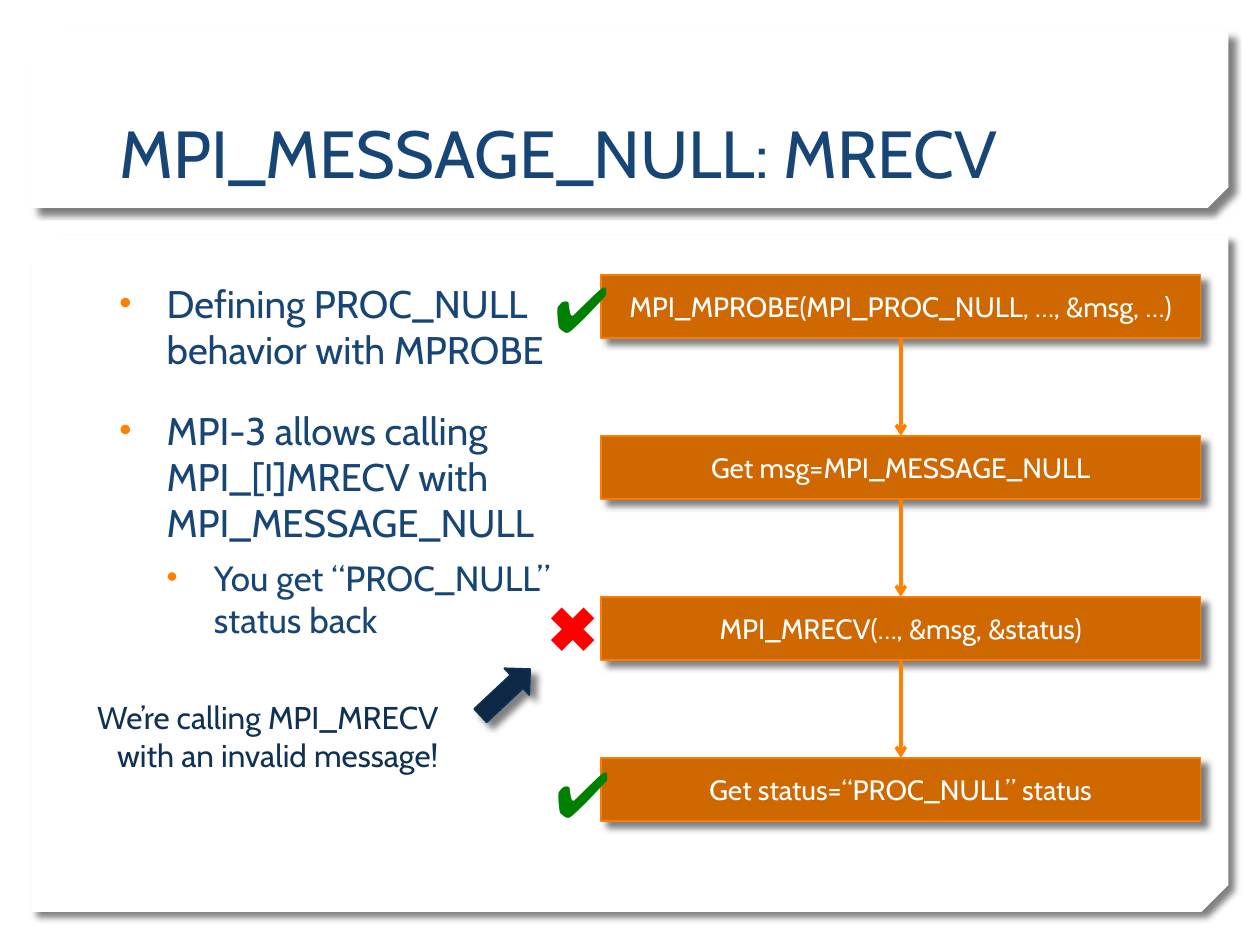
from dataclasses import dataclass

from lxml.etree import SubElement
from pptx import Presentation
from pptx.dml.color import RGBColor
from pptx.enum.shapes import MSO_CONNECTOR, MSO_SHAPE
from pptx.enum.text import MSO_ANCHOR, PP_ALIGN
from pptx.oxml.ns import qn
from pptx.shapes.autoshape import Shape
from pptx.shapes.shapetree import SlideShapes
from pptx.text.text import _Paragraph
from pptx.util import Pt

COLORS = {
    "panel": "FFFFFF", "heading": "174576", "bullet": "FF7F01",
    "step": "D06801", "step_line": "FA7C00", "step_text": "FFFFFF",
    "flow": "FF7F01", "good": "008000", "bad": "FF0000", "note": "103154",
    "pointer": "0D2845", "pointer_line": "0E3054", "shadow": "000000",
}
STEP_LEFT, STEP_TOP, STEP_WIDTH, STEP_HEIGHT, STEP_PITCH = 343.4, 157, 342.7, 36, 92


@dataclass
class Box:
    left: float
    top: float
    width: float
    height: float

    def lengths(self) -> tuple[Pt, Pt, Pt, Pt]:
        """Return the position and size as lengths."""
        return Pt(self.left), Pt(self.top), Pt(self.width), Pt(self.height)


@dataclass
class Panel:
    box: Box
    snip: float


@dataclass
class Bullet:
    text: str
    size: float
    margin: float
    space_before: float


@dataclass
class Label:
    box: Box
    lines: list[str]
    size: float
    color: str
    font: str = "Cabin"
    bold: bool = False
    wrap: bool = True
    align: PP_ALIGN = PP_ALIGN.LEFT
    anchor: MSO_ANCHOR = MSO_ANCHOR.TOP


PANELS = [
    Panel(Box(18, 134.6, 684, 386.6), 0.04),
    Panel(Box(18, 18, 684, 100.8), 0.117),
]
BULLETS = [
    Bullet("Defining PROC_NULL behavior with MPROBE", 22, 27, 0),
    Bullet("MPI-3 allows calling MPI_[I]MRECV with MPI_MESSAGE_NULL", 22, 27, 20),
    Bullet("You get “PROC_NULL” status back", 20, 54, 6),
]
STEPS = [
    "MPI_MPROBE(MPI_PROC_NULL, …, &msg, …)",
    "Get msg=MPI_MESSAGE_NULL",
    "MPI_MRECV(…, &msg, &status)",
    "Get status=“PROC_NULL” status",
]
TITLE = Label(Box(61.2, 23, 597, 90), ["MPI_MESSAGE_NULL: MRECV"], 38, "heading",
              anchor=MSO_ANCHOR.BOTTOM)
LABELS = [
    Label(Box(309.8, 150.4, 28, 51), ["✔"], 36, "good", "Arial", bold=True),
    Label(Box(306, 332.8, 42.5, 51), ["✖"], 36, "bad", "Arial", wrap=False),
    Label(Box(310.3, 427.8, 28, 51), ["✔"], 36, "good", "Arial", bold=True),
    Label(Box(47.5, 395.4, 210.2, 51),
          ["We’re calling MPI_MRECV", "with an invalid message!"],
          18, "note", wrap=False, align=PP_ALIGN.RIGHT),
]


def rgb(name: str) -> RGBColor:
    """Look up a named colour."""
    return RGBColor.from_string(COLORS[name])


def style(paragraph: _Paragraph, size: float, color: str,
          font: str = "Cabin", bold: bool = False) -> None:
    """Set the font of a whole paragraph."""
    paragraph.font.name = font
    paragraph.font.size = Pt(size)
    paragraph.font.bold = bold
    paragraph.font.color.rgb = rgb(color)


def add_block(shapes: SlideShapes, kind: MSO_SHAPE, box: Box, fill: str,
              line: str | None = None) -> Shape:
    """Draw a filled preset shape with a drop shadow."""
    block = shapes.add_shape(kind, *box.lengths())
    block.fill.solid()
    block.fill.fore_color.rgb = rgb(fill)
    if line:
        block.line.color.rgb = rgb(line)
        block.line.width = Pt(1)
    else:
        block.line.fill.background()
    block.shadow.inherit = False
    effects = block._element.spPr.find(qn("a:effectLst"))
    shadow = SubElement(effects, qn("a:outerShdw"), blurRad=str(Pt(4)),
                        dist=str(Pt(5)), dir="2700000", algn="tl", rotWithShape="0")
    color = SubElement(shadow, qn("a:srgbClr"), val=COLORS["shadow"])
    SubElement(color, qn("a:alpha"), val="50000")
    return block


def add_panel(shapes: SlideShapes, panel: Panel) -> None:
    """Draw a white panel with its lower right corner snipped."""
    sheet = add_block(shapes, MSO_SHAPE.SNIP_2_DIAG_RECTANGLE, panel.box, "panel")
    sheet.adjustments[0] = 0
    sheet.adjustments[1] = panel.snip
    sheet._element.spPr.xfrm.set("flipV", "1")


def add_label(shapes: SlideShapes, label: Label) -> None:
    """Place a text box with one paragraph per line."""
    frame = shapes.add_textbox(*label.box.lengths()).text_frame
    frame.word_wrap = label.wrap
    frame.vertical_anchor = label.anchor
    frame.text = "\n".join(label.lines)
    for paragraph in frame.paragraphs:
        paragraph.alignment = label.align
        style(paragraph, label.size, label.color, label.font, label.bold)


def add_bullets(shapes: SlideShapes, box: Box, bullets: list[Bullet]) -> None:
    """Write the bulleted list."""
    frame = shapes.add_textbox(*box.lengths()).text_frame
    frame.word_wrap = True
    frame.text = "\n".join(bullet.text for bullet in bullets)
    for paragraph, bullet in zip(frame.paragraphs, bullets):
        paragraph.space_before = Pt(bullet.space_before)
        properties = paragraph._p.get_or_add_pPr()
        properties.set("marL", str(Pt(bullet.margin)))
        properties.set("indent", str(Pt(-27)))
        color = SubElement(properties, qn("a:buClr"))
        SubElement(color, qn("a:srgbClr"), val=COLORS["bullet"])
        SubElement(properties, qn("a:buSzPct"), val="90000")
        SubElement(properties, qn("a:buFont"), typeface="Arial")
        SubElement(properties, qn("a:buChar"), char="•")
        style(paragraph, bullet.size, "heading")


def add_step(shapes: SlideShapes, top: float, text: str) -> None:
    """Draw one step of the call sequence."""
    box = Box(STEP_LEFT, top, STEP_WIDTH, STEP_HEIGHT)
    frame = add_block(shapes, MSO_SHAPE.RECTANGLE, box, "step", "step_line").text_frame
    frame.word_wrap = True
    frame.vertical_anchor = MSO_ANCHOR.MIDDLE
    frame.text = text
    frame.paragraphs[0].alignment = PP_ALIGN.CENTER
    style(frame.paragraphs[0], 16, "step_text")


def add_flow(shapes: SlideShapes, start: float, end: float) -> None:
    """Draw a downward arrow between two steps."""
    center = Pt(STEP_LEFT + STEP_WIDTH / 2)
    flow = shapes.add_connector(MSO_CONNECTOR.STRAIGHT, center, Pt(start), center, Pt(end))
    flow.line.color.rgb = rgb("flow")
    flow.line.width = Pt(2)
    SubElement(flow.line._get_or_add_ln(), qn("a:tailEnd"), type="arrow")
    SubElement(flow._element.spPr, qn("a:effectLst"))


def main() -> None:
    """Build the slide and save it."""
    presentation = Presentation()
    presentation.slide_width, presentation.slide_height = Pt(720), Pt(540)
    shapes = presentation.slides.add_slide(presentation.slide_layouts[6]).shapes
    for panel in PANELS:
        add_panel(shapes, panel)
    add_label(shapes, TITLE)
    add_bullets(shapes, Box(61.2, 156.2, 288, 313.2), BULLETS)
    tops = [STEP_TOP + STEP_PITCH * index for index in range(len(STEPS))]
    for top, text in zip(tops, STEPS):
        add_step(shapes, top, text)
    for top, following in zip(tops, tops[1:]):
        add_flow(shapes, top + STEP_HEIGHT, following)
    for label in LABELS:
        add_label(shapes, label)
    pointer = add_block(shapes, MSO_SHAPE.RIGHT_ARROW, Box(269.3, 385.2, 38.9, 20.9),
                        "pointer", "pointer_line")
    pointer.rotation = 316.9
    presentation.save("out.pptx")


if __name__ == "__main__":
    main()
